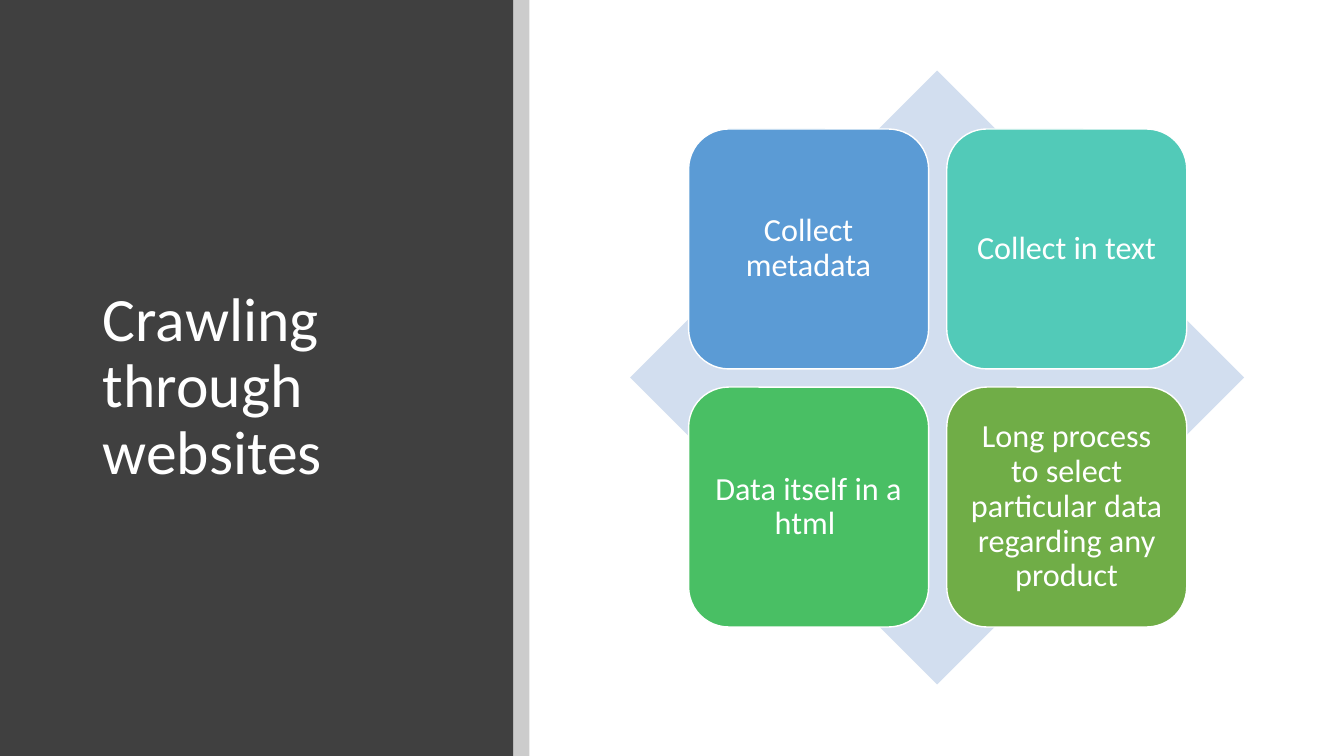
from pptx import Presentation
from pptx.dml.color import RGBColor
from pptx.enum.shapes import MSO_SHAPE as Shape
from pptx.enum.text import MSO_ANCHOR as Anchor, MSO_AUTO_SIZE as AutoSize, PP_ALIGN as Align
from pptx.oxml.ns import qn
from pptx.util import Inches, Pt
from lxml import etree

WHITE = RGBColor(0xFF, 0xFF, 0xFF)
BLACK = RGBColor(0x00, 0x00, 0x00)
CHARCOAL = RGBColor(0x40, 0x40, 0x40)
PALE_BLUE = RGBColor(0xD2, 0xDE, 0xEF)
BLUE = RGBColor(0x5B, 0x9B, 0xD5)
TEAL = RGBColor(0x52, 0xCA, 0xB8)
GREEN = RGBColor(0x49, 0xBF, 0x64)
OLIVE = RGBColor(0x70, 0xAD, 0x47)

SLIDE_WIDTH, SLIDE_HEIGHT = 13.33, 7.5
PANEL_WIDTH, STRIPE_WIDTH = 5.09, 0.16
MATRIX_LEFT, MATRIX_TOP = 6.83, 1.28
TILE_SIZE, TILE_STEP = 2.38, 2.56

TILES = [
    ("Collect metadata", BLUE),
    ("Collect in text", TEAL),
    ("Data itself in a html ", GREEN),
    ("Long process to select particular data regarding any product", OLIVE),
]


def apply(target, values):
    for name, value in values.items():
        setattr(target, name, value)


class SlideBuilder:
    font = {"name": "Calibri", "bold": False}

    def __init__(self, presentation):
        self.slide = presentation.slides.add_slide(presentation.slide_layouts[5])

    def shape(self, kind, box, color, outline=None, alpha=None, parent=None):
        shapes = (parent or self.slide).shapes
        shape = shapes.add_shape(kind, *map(Inches, box))
        shape.shadow.inherit = False
        shape.fill.solid()
        shape.fill.fore_color.rgb = color
        if alpha is not None:
            color_node = shape.fill._xPr.find(".//" + qn("a:srgbClr"))
            etree.SubElement(color_node, qn("a:alpha"), val=str(alpha * 1000))
        if outline is None:
            shape.line.fill.background()
        else:
            shape.line.color.rgb = outline
            shape.line.width = Pt(1)
        return shape

    def text(self, shape, words, size, align, inset_x, inset_y):
        frame = shape.text_frame
        frame.text = words
        apply(frame, {
            "word_wrap": True, "auto_size": AutoSize.NONE,
            "vertical_anchor": Anchor.MIDDLE,
            "margin_left": Inches(inset_x), "margin_right": Inches(inset_x),
            "margin_top": Inches(inset_y), "margin_bottom": Inches(inset_y),
        })
        paragraph = frame.paragraphs[0]
        apply(paragraph, {"alignment": align, "line_spacing": 0.9})
        font = paragraph.runs[0].font
        apply(font, {**self.font, "size": Pt(size)})
        font.color.rgb = WHITE

    def title(self, words, box):
        title = self.slide.shapes.title
        apply(title, dict(zip(("left", "top", "width", "height"), map(Inches, box))))
        self.text(title, words, 44, Align.LEFT, 0.1, 0.05)
        # Bring the title in front of the panel
        self.slide.shapes._spTree.append(title._element)

    def matrix(self, tiles):
        group = self.slide.shapes.add_group_shape()
        self.shape(Shape.DIAMOND, (6.25, 0.7, 6.09, 6.09), PALE_BLUE, parent=group)
        for index, (words, color) in enumerate(tiles):
            row, column = divmod(index, 2)
            box = (MATRIX_LEFT + column * TILE_STEP, MATRIX_TOP + row * TILE_STEP,
                   TILE_SIZE, TILE_SIZE)
            tile = self.shape(Shape.ROUNDED_RECTANGLE, box, color, WHITE, parent=group)
            self.text(tile, words, 23, Align.CENTER, 0.1, 0.1)


def main():
    presentation = Presentation()
    apply(presentation, {"slide_width": Inches(SLIDE_WIDTH),
                         "slide_height": Inches(SLIDE_HEIGHT)})
    builder = SlideBuilder(presentation)

    # Title panel with its edge stripe
    builder.shape(Shape.RECTANGLE, (0, 0, PANEL_WIDTH, SLIDE_HEIGHT), CHARCOAL)
    builder.title("Crawling through websites", (0.92, 0.89, 3.65, 5.91))
    builder.shape(Shape.RECTANGLE, (PANEL_WIDTH, 0, STRIPE_WIDTH, SLIDE_HEIGHT),
                  BLACK, alpha=20)

    # Four tiles over a diamond
    builder.matrix(TILES)
    presentation.save("out.pptx")


if __name__ == "__main__":
    main()
